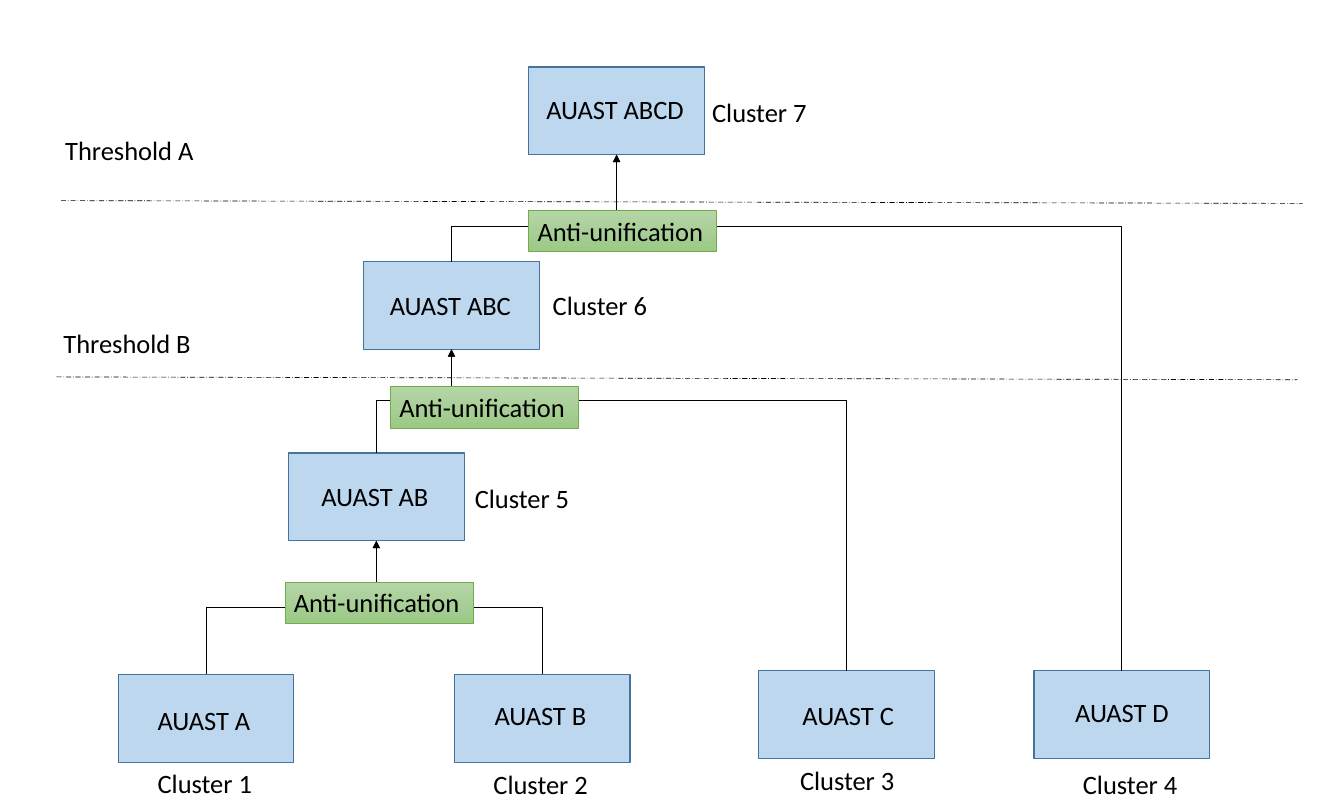
from dataclasses import dataclass

from pptx import Presentation
from pptx.dml.color import RGBColor
from pptx.dml.line import LineFormat
from pptx.enum.dml import MSO_LINE
from pptx.enum.shapes import MSO_CONNECTOR, MSO_SHAPE
from pptx.enum.text import MSO_ANCHOR, MSO_AUTO_SIZE, PP_ALIGN
from pptx.oxml.ns import qn
from pptx.shapes.autoshape import Shape
from pptx.shapes.connector import Connector
from pptx.shapes.shapetree import SlideShapes
from pptx.text.text import TextFrame
from pptx.util import Cm, Pt
from lxml import etree

RECT = MSO_SHAPE.RECTANGLE
ELBOW = MSO_CONNECTOR.ELBOW
STRAIGHT = MSO_CONNECTOR.STRAIGHT
DASH = MSO_LINE.LONG_DASH_DOT
LEFT = PP_ALIGN.LEFT
TOP = MSO_ANCHOR.TOP
FIT = MSO_AUTO_SIZE.SHAPE_TO_FIT_TEXT

BOX_W, BOX_H = 4.98, 2.49
TAG_W, ROW_H = 5.33, 1.17
NAME_W, GROUP_W, LEVEL_W = 3.28, 3.86, 4.57
TOP_SITE, BASE_SITE = 0, 2


@dataclass(frozen=True)
class Theme:
    font: str = "Calibri"
    size: Pt = Pt(21.3)
    ink: RGBColor = RGBColor(0, 0, 0)
    box: RGBColor = RGBColor(0xBD, 0xD7, 0xEE)
    edge: RGBColor = RGBColor(0x43, 0x73, 0x9E)
    light: RGBColor = RGBColor(0xB5, 0xD5, 0xA7)
    dark: RGBColor = RGBColor(0x9C, 0xC9, 0x87)
    rim: RGBColor = RGBColor(0x70, 0xAD, 0x47)
    thick: Pt = Pt(1)
    thin: Pt = Pt(0.5)


@dataclass(frozen=True)
class Label:
    text: str
    x: float
    y: float
    w: float = GROUP_W


@dataclass(frozen=True)
class Node:
    x: float
    y: float
    name: Label

    @property
    def mid(self) -> float:
        return self.x + BOX_W / 2


@dataclass(frozen=True)
class Link:
    child: str
    parent: str
    rail: float


@dataclass(frozen=True)
class Rule:
    x1: float
    y1: float
    x2: float
    y2: float


THEME = Theme()

NODES = {
    "ABC": Node(10.31, 7.42, Label("AUAST ABC", 10.8, 8.08, 4.72)),
    "ABCD": Node(14.99, 1.9, Label("AUAST ABCD", 15.24, 2.51, 4.72)),
    "A": Node(3.35, 19.13, Label("AUAST A", 4.22, 19.84, NAME_W)),
    "B": Node(12.88, 19.13, Label("AUAST B", 13.77, 19.71, NAME_W)),
    "C": Node(21.51, 19.02, Label("AUAST C", 22.5, 19.71, NAME_W)),
    "D": Node(29.31, 19.02, Label("AUAST D", 30.23, 19.63, NAME_W)),
    "AB": Node(8.18, 12.85, Label("AUAST AB", 8.86, 13.49)),
}

LINKS = [
    Link("A", "AB", 17.22),
    Link("B", "AB", 17.22),
    Link("C", "ABC", 11.36),
    Link("AB", "ABC", 11.36),
    Link("D", "ABCD", 6.43),
    Link("ABC", "ABCD", 6.43),
]

RULES = [Rule(1.73, 5.69, 36.93, 5.77), Rule(1.6, 10.69, 36.78, 10.77)]

LEVELS = [
    Label("Threshold A", 1.6, 3.68, LEVEL_W),
    Label("Threshold B", 1.55, 9.14, LEVEL_W),
]

TAGS = [
    Label("Anti-unification", x, y, TAG_W)
    for x, y in ((8.08, 16.51), (11.07, 10.97), (14.99, 5.97))
]

SPOTS = [
    (4.22, 21.62), (13.74, 21.67), (22.43, 21.54), (30.45, 21.67),
    (13.21, 13.54), (15.42, 8.08), (19.94, 2.59),
]
GROUPS = [Label(f"Cluster {n}", x, y) for n, (x, y) in enumerate(SPOTS, 1)]


def write(frame: TextFrame, text: str) -> None:
    frame.word_wrap = True
    frame.auto_size = FIT
    frame.vertical_anchor = TOP
    para = frame.paragraphs[0]
    para.text = text
    para.alignment = LEFT
    para.font.name = THEME.font
    para.font.size = THEME.size
    para.font.color.rgb = THEME.ink


def stroke(line: LineFormat, color: RGBColor, width: Pt) -> None:
    line.width = width
    line.fill.solid()
    line.fill.fore_color.rgb = color


def add_label(shapes: SlideShapes, label: Label) -> None:
    box = shapes.add_textbox(Cm(label.x), Cm(label.y), Cm(label.w), Cm(ROW_H))
    write(box.text_frame, label.text)


def add_tag(shapes: SlideShapes, tag: Label) -> None:
    shape = shapes.add_shape(RECT, Cm(tag.x), Cm(tag.y), Cm(tag.w), Cm(ROW_H))
    shape.shadow.inherit = False
    shape.fill.gradient()
    shape.fill.gradient_angle = 270
    for stop, color in zip(shape.fill.gradient_stops, (THEME.light, THEME.dark)):
        stop.color.rgb = color
    stroke(shape.line, THEME.rim, THEME.thin)
    write(shape.text_frame, tag.text)


def add_node(shapes: SlideShapes, node: Node) -> Shape:
    shape = shapes.add_shape(RECT, Cm(node.x), Cm(node.y), Cm(BOX_W), Cm(BOX_H))
    shape.shadow.inherit = False
    shape.fill.solid()
    shape.fill.fore_color.rgb = THEME.box
    stroke(shape.line, THEME.edge, THEME.thick)
    add_label(shapes, node.name)
    return shape


def add_line(shapes: SlideShapes, kind: MSO_CONNECTOR, rule: Rule) -> Connector:
    ends = (Cm(v) for v in (rule.x1, rule.y1, rule.x2, rule.y2))
    line = shapes.add_connector(kind, *ends)
    stroke(line.line, THEME.ink, THEME.thin)
    etree.SubElement(line._element.spPr, qn("a:effectLst"))
    return line


def add_link(shapes: SlideShapes, link: Link, boxes: dict[str, Shape]) -> None:
    child, parent = NODES[link.child], NODES[link.parent]
    rule = Rule(child.mid, child.y, parent.mid, parent.y + BOX_H)
    line = add_line(shapes, ELBOW, rule)
    line.begin_connect(boxes[link.child], TOP_SITE)
    line.end_connect(boxes[link.parent], BASE_SITE)

    rise, run = rule.y1 - rule.y2, abs(rule.x2 - rule.x1)
    line.left = Cm((rule.x1 + rule.x2 - rise) / 2)
    line.top = Cm((rule.y1 + rule.y2 - run) / 2)
    line.width, line.height = Cm(rise), Cm(run)

    right = rule.x1 < rule.x2
    props = line._element.spPr
    frame = props.find(qn("a:xfrm"))
    frame.set("rot", "5400000" if right else "16200000")
    frame.set("flipH", "1" if right else "0")
    frame.set("flipV", "1")

    bend = round((rule.y1 - link.rail) / rise * 100000)
    guides = props.find(qn("a:prstGeom")).find(qn("a:avLst"))
    etree.SubElement(guides, qn("a:gd"), name="adj1", fmla=f"val {bend}")
    etree.SubElement(props.find(qn("a:ln")), qn("a:tailEnd"), type="triangle")


def main() -> None:
    deck = Presentation()
    deck.slide_width, deck.slide_height = Cm(38.1), Cm(22.86)
    shapes = deck.slides.add_slide(deck.slide_layouts[6]).shapes
    boxes = {key: add_node(shapes, node) for key, node in NODES.items()}
    for link in LINKS:
        add_link(shapes, link, boxes)
    for rule in RULES:
        add_line(shapes, STRAIGHT, rule).line.dash_style = DASH
    for tag in TAGS:
        add_tag(shapes, tag)
    for label in LEVELS + GROUPS:
        add_label(shapes, label)
    deck.save("out.pptx")


main()
